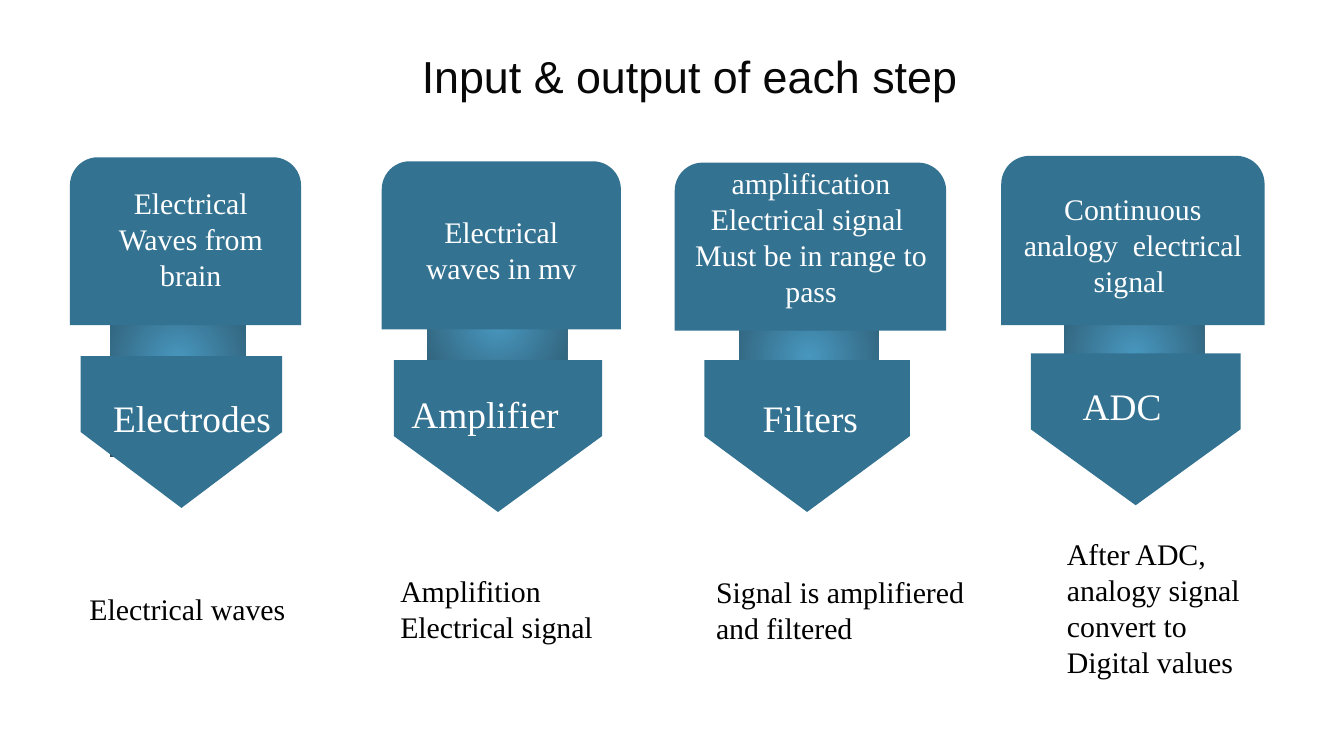
import pptx
import pptx.util
import pptx.dml.color
import pptx.enum.shapes
import pptx.enum.text
import pptx.oxml
import pptx.oxml.ns

Inches = pptx.util.Inches
RGBColor = pptx.dml.color.RGBColor
SHAPE = pptx.enum.shapes.MSO_SHAPE
ALIGN = pptx.enum.text.PP_ALIGN
ANCHOR = pptx.enum.text.MSO_ANCHOR

BLUE = RGBColor(0x33, 0x72, 0x91)
LIGHT_BLUE = RGBColor(0x48, 0x97, 0xBF)
DARK_BLUE = RGBColor(0x27, 0x4B, 0x5D)
WHITE = RGBColor(0xFF, 0xFF, 0xFF)
BLACK = RGBColor(0, 0, 0)
TITLE_COLOR = RGBColor(0x08, 0x08, 0x08)

SLIDE_WIDTH = Inches(10)
SLIDE_HEIGHT = SLIDE_WIDTH * 9 // 16
POINTER_HEIGHT = 1.13
SERIF = "Times New Roman"

# Boxes are (left, top, width, height); an input without a box sits in its cap.
# A vertical tab is a line break within a paragraph.
STEPS = [
    {
        "neck": (0.82, 1.96, 1.01, 1.44),
        "cap": (0.52, 1.17, 1.72, 1.25),
        "pointer": (0.6, 2.65, 1.5),
        "input": ["Electrical", "Waves from", "brain"],
        "input_box": (0.64, 1.29, 1.56, 0.97),
        "name": "Electrodes",
        "name_box": (0.38, 2.87, 2.1, 0.47),
        "output": "Electrical waves",
        "output_box": (0.52, 4.24, 1.75, 0.58),
        "output_align": ALIGN.CENTER,
    },
    {
        "neck": (3.18, 1.68, 1.04, 1.44),
        "cap": (2.84, 1.2, 1.78, 1.25),
        "pointer": (2.93, 2.68, 1.55),
        "input": ["Electrical\vwaves in mv"],
        "name": "Amplifier",
        "name_box": (2.96, 2.86, 1.3, 0.44),
        "output": "Amplifition Electrical signal",
        "output_box": (2.88, 4.1, 1.75, 0.86),
    },
    {
        "neck": (5.5, 1.93, 1.04, 1.44),
        "cap": (5.02, 1.21, 2.02, 1.25),
        "pointer": (5.24, 2.68, 1.53),
        "input": ["amplification Electrical signal ", "Must be in range to pass"],
        "input_box": (5.05, 1.17, 1.97, 1.18),
        "name": "Filters",
        "name_box": (4.98, 2.87, 2.1, 0.47),
        "output": "Signal is amplifiered and filtered",
        "output_box": (5.23, 4.07, 2.07, 0.93),
    },
    {
        "neck": (7.92, 1.92, 1.04, 1.44),
        "cap": (7.45, 1.16, 1.96, 1.26),
        "pointer": (7.67, 2.63, 1.56),
        "input": ["Continuous analogy  electrical signal "],
        "name": "ADC",
        "name_box": (7.3, 2.78, 2.1, 0.47),
        "output": "After ADC, analogy signal convert to Digital values",
        "output_box": (7.84, 3.96, 1.75, 1.12),
    },
]


def set_attributes(target, values):
    for name, value in values.items():
        setattr(target, name, value)


def write_text(shape, lines, size, color, align=ALIGN.CENTER, font=SERIF):
    frame = shape.text_frame
    set_attributes(frame, {
        "word_wrap": True,
        "vertical_anchor": ANCHOR.MIDDLE,
        "margin_left": Inches(0.1),
        "margin_right": Inches(0.1),
        "margin_top": Inches(0.05),
        "margin_bottom": Inches(0.05),
    })
    frame.text = "\n".join(lines)
    for paragraph in frame.paragraphs:
        paragraph.alignment = align
        set_attributes(paragraph.font, {"name": font, "size": pptx.util.Pt(size)})
        paragraph.font.color.rgb = color


def add_label(slide, box, lines, size, color, **text_format):
    label = slide.shapes.add_textbox(*map(Inches, box))
    write_text(label, lines, size, color, **text_format)


def add_block(slide, kind, box):
    shape = slide.shapes.add_shape(kind, *map(Inches, box))
    shape.shadow.inherit = False
    shape.line.fill.background()
    shape.fill.solid()
    shape.fill.fore_color.rgb = BLUE
    return shape


def add_neck(slide, box):
    neck = add_block(slide, SHAPE.RECTANGLE, box)
    neck.fill.gradient()
    for stop, color in zip(neck.fill.gradient_stops, (LIGHT_BLUE, DARK_BLUE)):
        stop.color.rgb = color
    # Turn the linear gradient into one that spreads from the centre
    linear = neck.element.spPr.find(".//" + pptx.oxml.ns.qn("a:lin"))
    radial = pptx.oxml.parse_xml(
        f'<a:path {pptx.oxml.ns.nsdecls("a")} path="circle">'
        '<a:fillToRect l="50000" t="50000" r="50000" b="50000"/></a:path>')
    linear.getparent().replace(linear, radial)


def add_pointer(slide, left, top, width):
    # The frame is given before the quarter turn around its centre
    shift = (width - POINTER_HEIGHT) / 2
    box = (left + shift, top - shift, POINTER_HEIGHT, width)
    add_block(slide, SHAPE.PENTAGON, box).rotation = 90


def add_step(slide, step):
    add_neck(slide, step["neck"])
    add_pointer(slide, *step["pointer"])
    cap = add_block(slide, SHAPE.ROUND_2_SAME_RECTANGLE, step["cap"])
    cap.adjustments[0] = 0.167

    # Input, name and output of the step
    if "input_box" in step:
        add_label(slide, step["input_box"], step["input"], 16, WHITE)
    else:
        write_text(cap, step["input"], 16, WHITE)
    add_label(slide, step["name_box"], [step["name"]], 20, WHITE)
    add_label(slide, step["output_box"], [step["output"]], 16, BLACK,
              align=step.get("output_align", ALIGN.LEFT))


def main():
    presentation = pptx.Presentation()
    set_attributes(presentation, {"slide_width": SLIDE_WIDTH,
                                  "slide_height": SLIDE_HEIGHT})
    slide = presentation.slides.add_slide(presentation.slide_layouts[6])

    # Title
    add_label(slide, (0.47, 0.1, 9.32, 0.92), ["Input & output of each step"],
              24, TITLE_COLOR, font="Arial")

    # Four processing steps
    for step in STEPS:
        add_step(slide, step)

    presentation.save("out.pptx")


if __name__ == "__main__":
    main()
